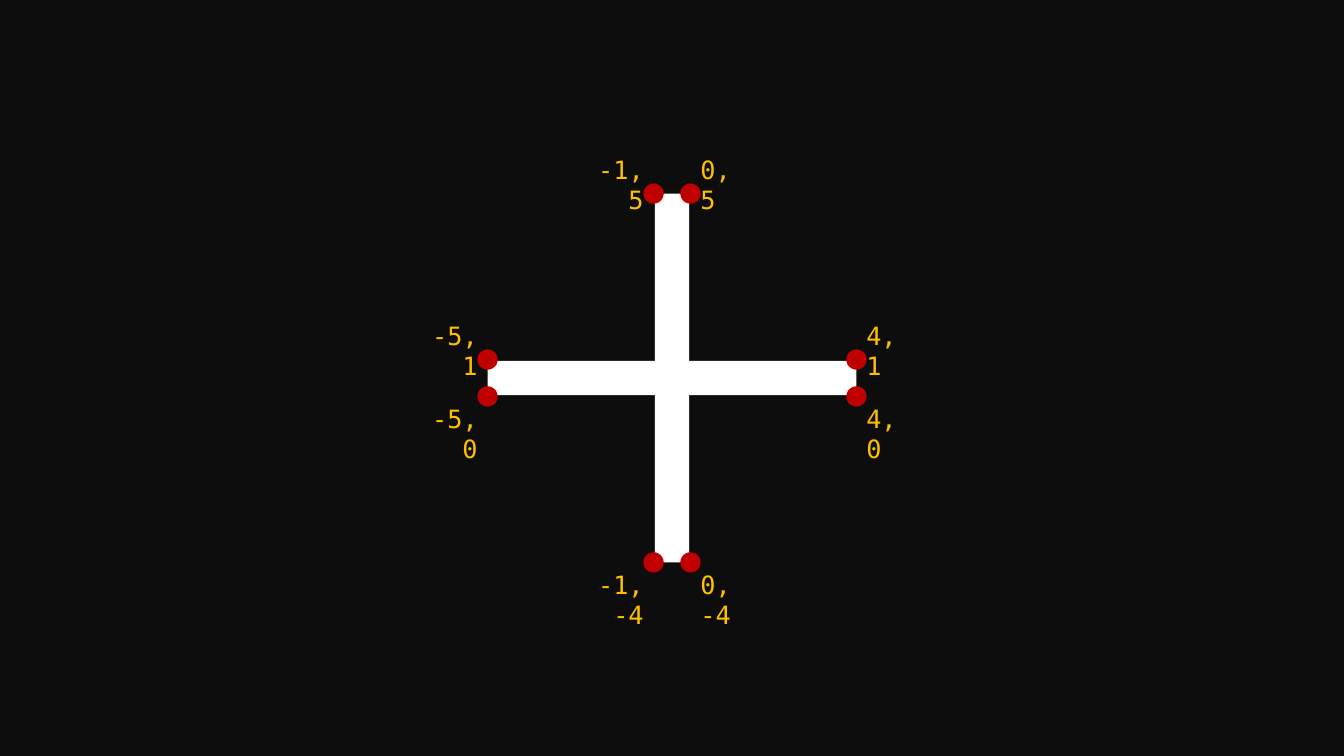
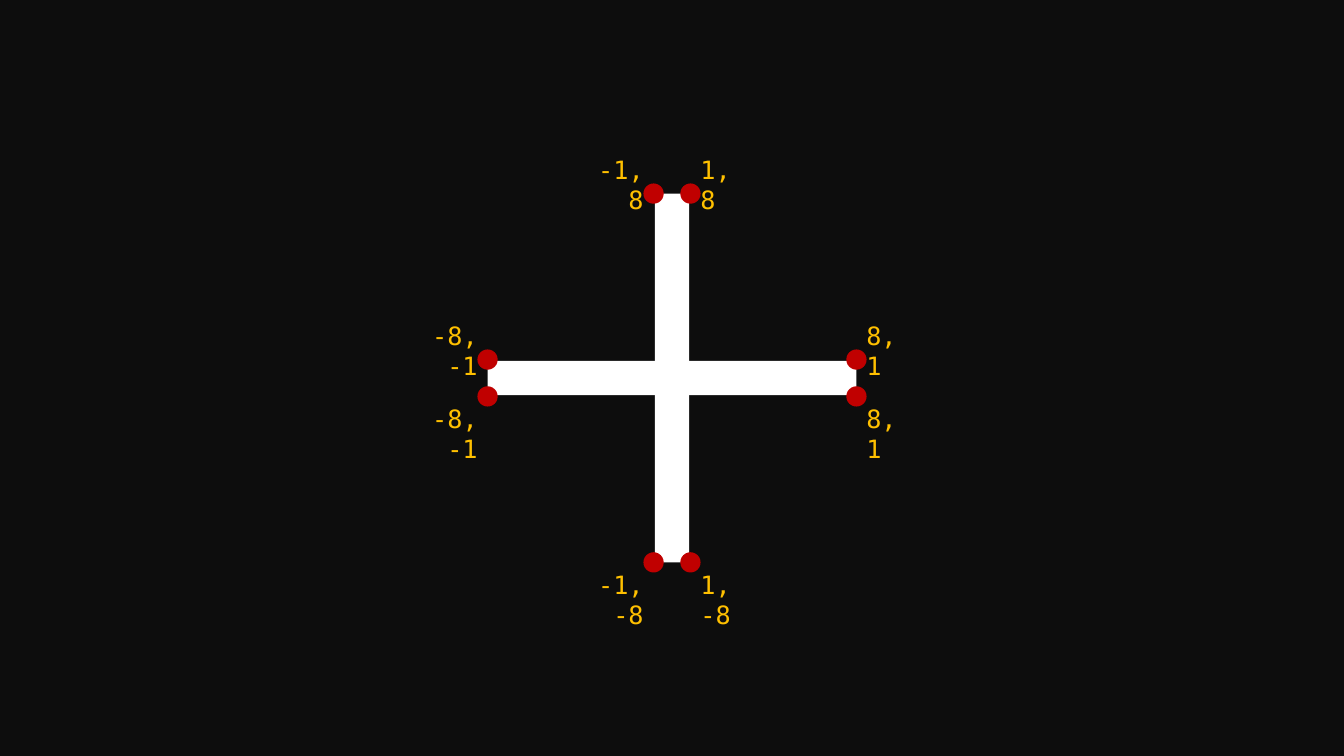
"""Two slides of a cross whose eight corner points carry coordinates."""
from dataclasses import dataclass
from itertools import product

from pptx import Presentation, util as u
from pptx.dml.color import RGBColor
from pptx.enum import shapes, text

WIDE, HIGH = 13.33, 7.5
CELL = HIGH / 41
ARM = 10
THICK = 1.86
DOT = 1.1
KIND = shapes.MSO_SHAPE


@dataclass(frozen=True)
class Theme:
    back: str = "0D0D0D"
    bar: str = "FFFFFF"
    dot: str = "C00000"
    label: str = "FFC000"
    font: str = "DejaVu Sans Mono"
    size: int = 18


@dataclass(frozen=True)
class Spot:
    col: int
    row: int

    @property
    def x(self) -> float:
        return WIDE / 2 + self.col * CELL

    @property
    def y(self) -> float:
        return HIGH / 2 + self.row * CELL


THEME = Theme()
HUB = Spot(0, 0)
TALL = [Spot(c, r) for r, c in product((-ARM, ARM), (-1, 1))]
FLAT = [Spot(c, r) for r, c in product((-1, 1), (-ARM, ARM))]
SLIDES = [
    (["-1, 5", "0, 5", "-1, -4", "0, -4"],
     ["-5, 1", "4, 1", "-5, 0", "4, 0"]),
    (["-1, 8", "1, 8", "-1, -8", "1, -8"],
     ["-8, -1", "8, 1", "-8, -1", "8, 1"]),
]


def paint(fill, color: str) -> None:
    fill.solid()
    fill.fore_color.rgb = RGBColor.from_string(color)


def mark(slide, kind, spot: Spot, cols: float, rows: float, color: str) -> None:
    wide, high = cols * CELL, rows * CELL
    shape = slide.shapes.add_shape(
        kind, u.Inches(spot.x - wide / 2), u.Inches(spot.y - high / 2),
        u.Inches(wide), u.Inches(high))
    shape.shadow.inherit = False
    shape.line.fill.background()
    paint(shape.fill, color)


def write(slide, words: str, x: float, y: float, wide: float, high: float, *,
          right: bool = False, color: str = THEME.label,
          size: int = THEME.size, font: str = THEME.font) -> None:
    box = slide.shapes.add_textbox(*map(u.Inches, (x, y, wide, high)))
    frame = box.text_frame
    frame.word_wrap = True
    frame.auto_size = text.MSO_AUTO_SIZE.SHAPE_TO_FIT_TEXT
    para = frame.paragraphs[0]
    para.alignment = text.PP_ALIGN.RIGHT if right else text.PP_ALIGN.LEFT
    run = para.add_run()
    run.text = words
    run.font.name = font
    run.font.size = u.Pt(size)
    run.font.color.rgb = RGBColor.from_string(color)


def label(slide, words: str, spot: Spot) -> None:
    left = spot.col < 0
    wide = 0.22 + 0.135 * len(words)
    drop = -0.44 if spot.row < 0 else 0.02
    write(slide, words, spot.x - wide if left else spot.x, spot.y + drop,
          wide, 0.4, right=left)


def beam(slide, cols: float, rows: float, spots: list[Spot],
         names: list[str]) -> None:
    mark(slide, KIND.RECTANGLE, HUB, cols, rows, THEME.bar)
    for spot in spots:
        mark(slide, KIND.OVAL, spot, DOT, DOT, THEME.dot)
    for spot, name in zip(spots, names):
        label(slide, name, spot)


def main() -> None:
    deck = Presentation()
    deck.slide_width, deck.slide_height = u.Inches(WIDE), u.Inches(HIGH)
    paint(deck.slide_master.background.fill, THEME.back)
    for tall, flat in SLIDES:
        slide = deck.slides.add_slide(deck.slide_layouts[6])
        beam(slide, THICK, 2 * ARM, TALL, tall)
        beam(slide, 2 * ARM, THICK, FLAT, flat)
    deck.save("out.pptx")


if __name__ == "__main__":
    main()
